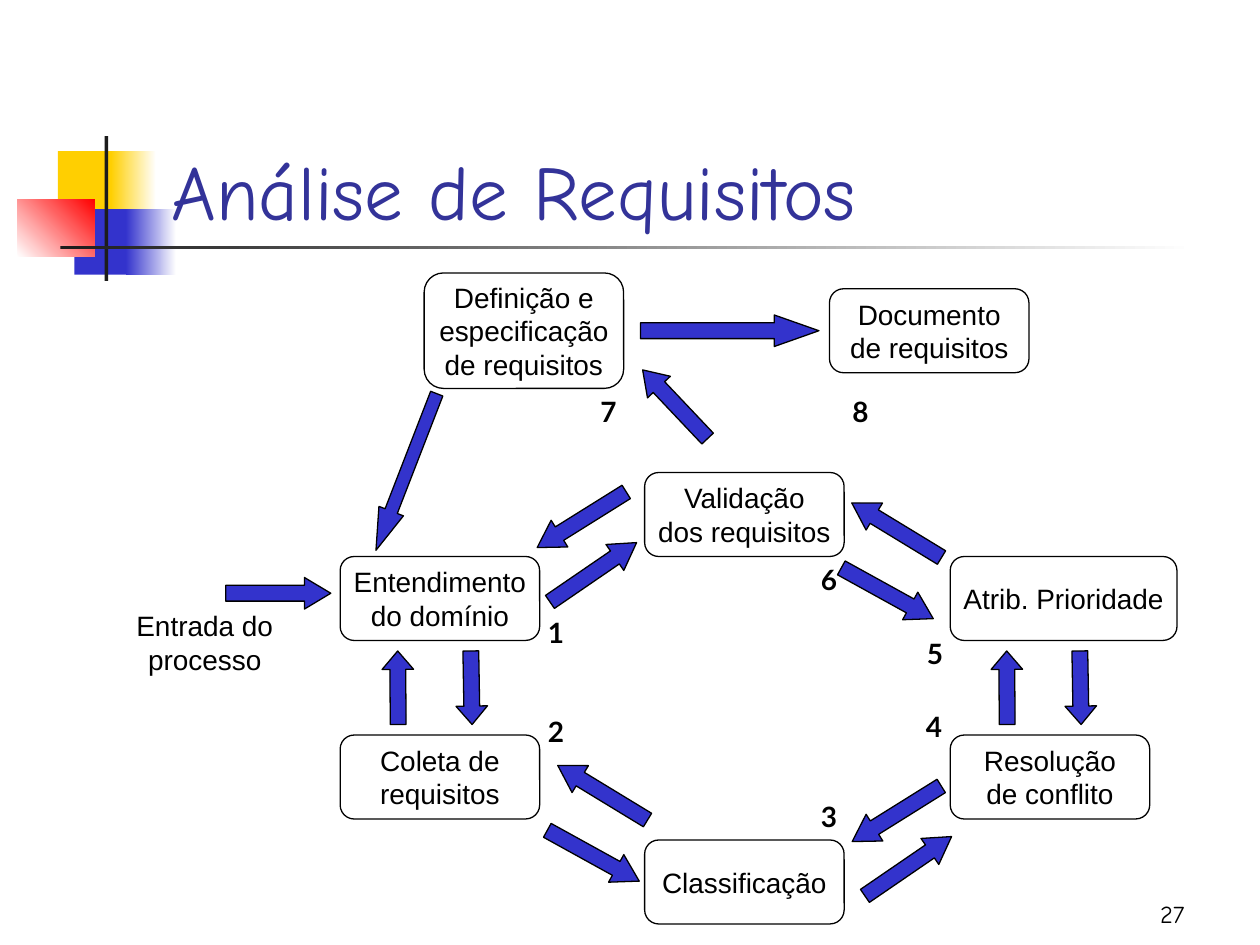
from pptx import Presentation
from pptx import util as u
from pptx.dml.color import RGBColor
from pptx.enum import shapes, text

COLORS = {"yellow": "FFCF01", "blue": "3333CC", "red": "FF0000", "dark": "1C1C1C",
          "white": "FFFFFF", "black": "000000", "title": "333399"}
CELL = u.Inches(1) / 12  # the diagram sits on a grid of 12 cells to the inch
BOX_WIDTH, BOX_HEIGHT = 19, 8

# left, top, width, height in inches, then the colours from start to end
ORNAMENTS = [
    (0.46, 1.2, 0.48, 0.52, ["yellow"]),
    (0.88, 1.2, 0.36, 0.52, ["yellow", "white"]),
    (0.59, 1.66, 0.46, 0.52, ["blue"]),
    (1, 1.66, 0.4, 0.52, ["blue", "white"]),
    (0.14, 1.58, 0.61, 0.46, ["white", "red"]),
    (0.83, 1.08, 0.03, 1.15, ["dark"]),
    (0.48, 1.95, 9, 0.03, ["dark", "white"]),
]
# column, row, width, height, lines
BOXES = [
    (32.4, 53, BOX_WIDTH, BOX_HEIGHT, ["Entendimento", "do domínio"]),
    (32.4, 70, BOX_WIDTH, BOX_HEIGHT, ["Coleta de", "requisitos"]),
    (61.4, 80, BOX_WIDTH, BOX_HEIGHT, ["Classificação"]),
    (40.4, 26, BOX_WIDTH, 11, ["Definição e", "especificação", "de requisitos"]),
    (90.5, 70, BOX_WIDTH, BOX_HEIGHT, ["Resolução", "de conflito"]),
    (90.5, 53, 21.6, BOX_HEIGHT, ["Atrib. Prioridade"]),
    (61.4, 45, BOX_WIDTH, BOX_HEIGHT, ["Validação", "dos requisitos"]),
    (79, 27.5, BOX_WIDTH, BOX_HEIGHT, ["Documento", "de requisitos"]),
]
# column, row, length, thickness, rotation
SINGLE_ARROWS = [
    (21.5, 55, 10, 3, 0),
    (61, 30, 17, 3, 0),
    (59.8, 37, 9, 3, 226.6),
    (30.7, 43.7, 16, 2.5, 111.2),
]
# two opposite arrows, and the step to the place where the pair occurs again
ARROW_PAIRS = [
    ([(41.4, 64, 7, 3, 89), (34.4, 64, 7, 3, 269.6)], (58, 0)),
    ([(51.5, 80, 10, 3, 28.9), (52.4, 74, 10, 3, 211.3)], (28, -25)),
    ([(51.5, 53, 10, 3, 325.6), (50.4, 48, 10, 3, 148)], (30, 28)),
]
STEP_NUMBERS = [(51, 58), (51, 67.5), (77, 75.6), (87, 67),
                (87.1, 60), (77, 53), (56, 37), (80, 37)]


def rgb(name):
    return RGBColor.from_string(COLORS[name])


def cells(*lengths):
    return [u.Emu(round(length * CELL)) for length in lengths]


def write(frame, lines, font, size, color="black", align=text.PP_ALIGN.CENTER, bold=False):
    for index, line in enumerate(lines):
        paragraph = frame.paragraphs[0] if index == 0 else frame.add_paragraph()
        paragraph.alignment = align
        run = paragraph.add_run()
        run.text = line
        run.font.name, run.font.size, run.font.bold = font, u.Pt(size), bold
        run.font.color.rgb = rgb(color)


def add_outlined(slide, kind, place):
    shape = slide.shapes.add_shape(kind, *place)
    shape.shadow.inherit = False
    shape.line.color.rgb = rgb("black")
    shape.line.width = u.Pt(0.75)
    return shape


def add_ornament(slide, left, top, width, height, colors):
    shape = slide.shapes.add_shape(shapes.MSO_SHAPE.RECTANGLE,
                                   *map(u.Inches, (left, top, width, height)))
    shape.shadow.inherit = False
    shape.line.fill.background()
    if len(colors) == 1:
        shape.fill.solid()
        shape.fill.fore_color.rgb = rgb(colors[0])
        return
    shape.fill.gradient()
    shape.fill.gradient_angle = 45 if "red" in colors else 0
    for stop, color, position in zip(shape.fill.gradient_stops, colors, (0, 1)):
        stop.color.rgb = rgb(color)
        stop.position = position


def add_box(slide, column, row, width, height, lines):
    box = add_outlined(slide, shapes.MSO_SHAPE.ROUNDED_RECTANGLE,
                       cells(column, row, width, height))
    box.fill.background()
    frame = box.text_frame
    frame.word_wrap = False
    frame.vertical_anchor = text.MSO_ANCHOR.MIDDLE
    write(frame, lines, "Arial", 16)


def add_arrow(slide, column, row, length, thickness, rotation):
    """Draw a block arrow whose head takes a quarter of its length."""
    arrow = add_outlined(slide, shapes.MSO_SHAPE.RIGHT_ARROW,
                         cells(column, row, length, thickness))
    arrow.adjustments[1] = length / thickness / 4
    arrow.rotation = rotation
    arrow.fill.solid()
    arrow.fill.fore_color.rgb = rgb("blue")


def add_label(slide, place, lines, font, size, **style):
    frame = slide.shapes.add_textbox(*place).text_frame
    frame.word_wrap = False
    write(frame, lines, font, size, **style)
    return frame


def set_title(slide, words):
    title = slide.shapes.title
    title.left, title.top = u.Inches(1.26), u.Inches(0.67)
    title.width, title.height = u.Inches(8.52), u.Inches(1.25)
    frame = title.text_frame
    frame.vertical_anchor = text.MSO_ANCHOR.BOTTOM
    frame.auto_size = text.MSO_AUTO_SIZE.NONE
    write(frame, [words], "Comic Neue", 44, "title", text.PP_ALIGN.LEFT)
    title.element.getparent().append(title.element)  # in front of the ornaments


def main():
    presentation = Presentation()
    presentation.slide_width, presentation.slide_height = u.Inches(10), u.Inches(7.5)
    slide = presentation.slides.add_slide(presentation.slide_layouts[5])

    for ornament in ORNAMENTS:
        add_ornament(slide, *ornament)
    set_title(slide, "Análise de Requisitos")
    for box in BOXES:
        add_box(slide, *box)
    for arrow in SINGLE_ARROWS:
        add_arrow(slide, *arrow)
    for pair, (right, down) in ARROW_PAIRS:
        for column, row, *form in pair:
            add_arrow(slide, column, row, *form)
            add_arrow(slide, column + right, row + down, *form)

    add_label(slide, cells(11.8, 57.4, 15.4, 7.7), ["Entrada do", "processo"], "Arial", 16)
    for number, (column, row) in enumerate(STEP_NUMBERS, start=1):
        add_label(slide, cells(column, row, 3.8, 4.4), [str(number)], "Lato", 16,
                  align=text.PP_ALIGN.LEFT, bold=True)
    page = add_label(slide, cells(89, 83, 25, 6), ["27"], "Comic Neue", 14,
                     align=text.PP_ALIGN.RIGHT)
    page.word_wrap = True
    page.vertical_anchor = text.MSO_ANCHOR.BOTTOM

    presentation.save("out.pptx")


if __name__ == "__main__":
    main()
